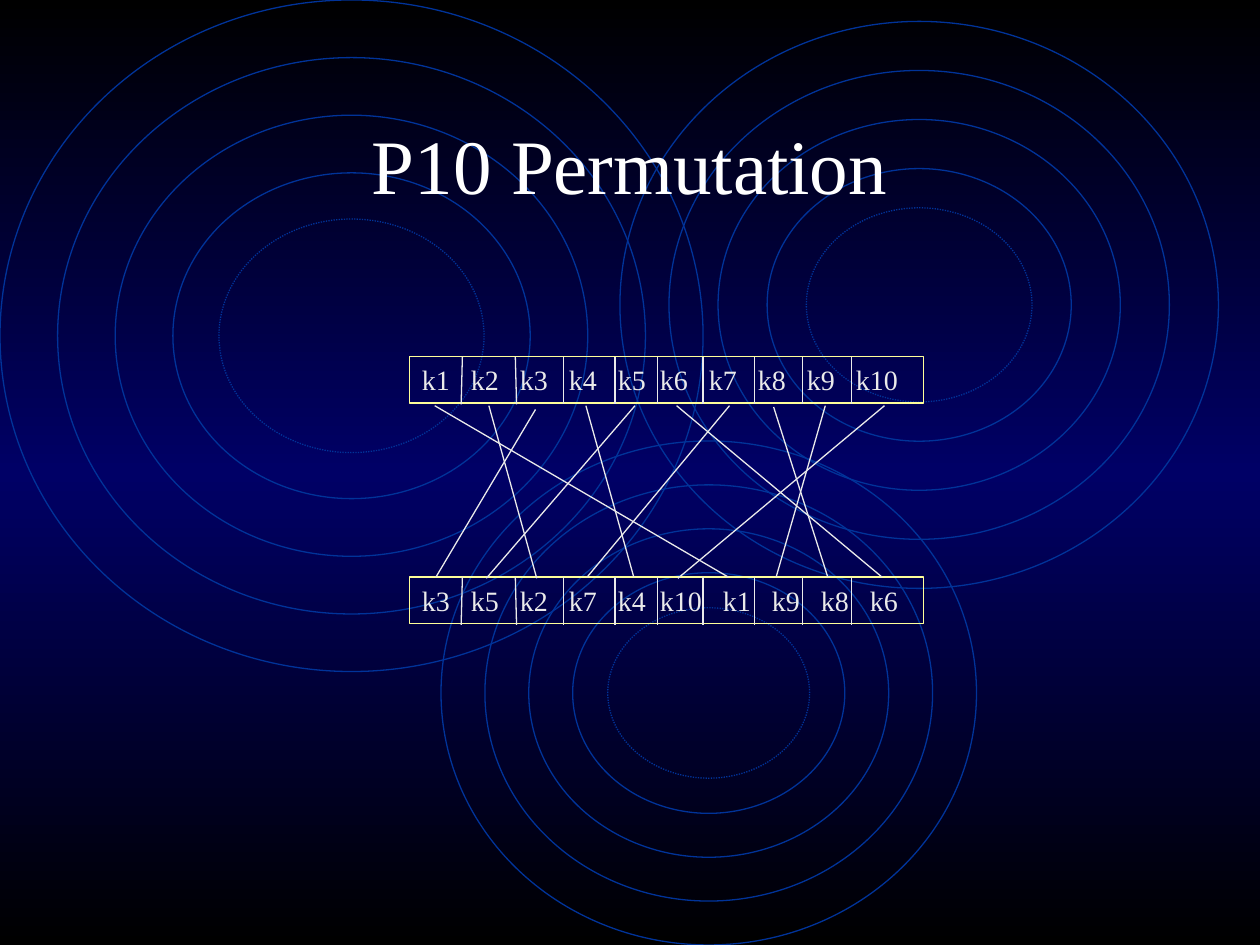
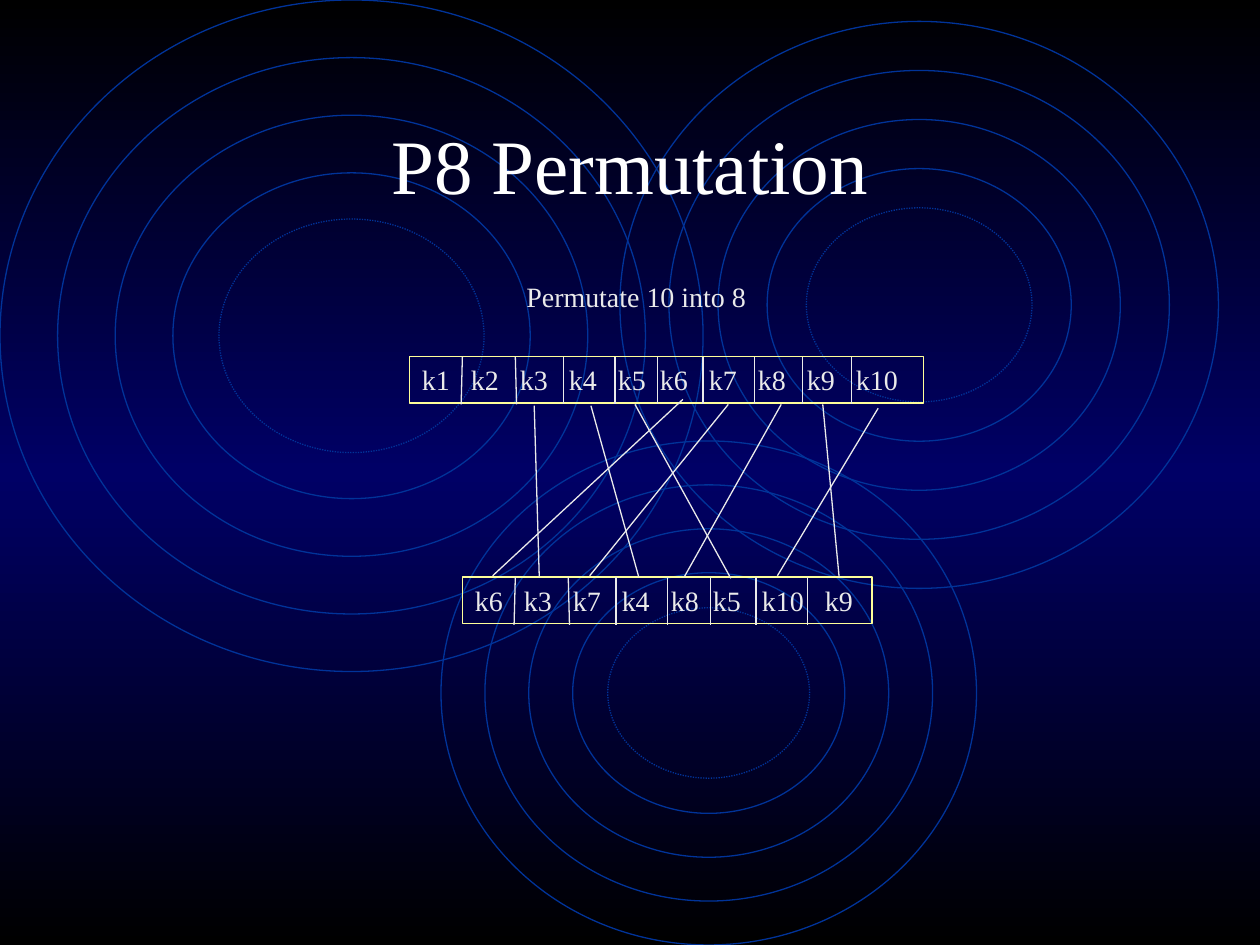
from copy import deepcopy
from typing import NamedTuple

from lxml.etree import SubElement
from pptx import Presentation
from pptx.dml.color import RGBColor
from pptx.enum.dml import MSO_LINE_DASH_STYLE as Dash
from pptx.enum.shapes import MSO_CONNECTOR as Connector, MSO_SHAPE as Shape
from pptx.enum.text import MSO_ANCHOR as Anchor, PP_ALIGN as Align
from pptx.oxml.ns import qn
from pptx.util import Inches, Pt

# Shared style
FONT = "Times New Roman"
BLACK, NAVY, RING_BLUE = "000000", "000066", "003399"
WHITE, PALE_GREY, YELLOW = "FFFFFF", "EAEAEA", "FFFF99"
TITLE_SIZE, BODY_SIZE = 44, 16
LINE_WIDTH = Pt(0.75)

# Key register layout, in inches
CHAR_WIDTH = BODY_SIZE / 2 / 72
SPACE_WIDTH = CHAR_WIDTH / 2
REGISTER_HEIGHT = 0.37
INPUT_TOP, OUTPUT_TOP = 2.83, 4.58


class Box(NamedTuple):
    left: float
    top: float
    width: float
    height: float


class Line(NamedTuple):
    x1: float
    y1: float
    x2: float
    y2: float


class Divider(NamedTuple):
    offset: float
    lean: float = 0


class Register(NamedTuple):
    keys: str
    left: float
    top: float
    width: float


class Permutation(NamedTuple):
    title: str
    output: Register
    wires: list[Line]
    caption: str = ""


TITLE_BOX = Box(0.75, 0.67, 8.5, 1.25)
CAPTION_BOX = Box(4.08, 2.17, 2.17, 0.37)

# Ripples: outer ring of each set, and how many steps each ring lies inside it
RIPPLES = [Box(0, 0, 5.58, 5.33), Box(3.5, 3.5, 4.25, 4), Box(4.92, 0.17, 4.75, 4.5)]
RING_STEPS = (0, 1, 2, 3, 3.8)

DIVIDERS = [Divider(0.42, -0.01), Divider(0.84, 0.01)] + [
    Divider(offset) for offset in (1.22, 1.63, 1.97, 2.33, 2.74, 3.12, 3.51)
]

INPUT = Register("k1 k2 k3 k4 k5 k6 k7 k8 k9 k10", 3.25, INPUT_TOP, 4.08)

# Wires follow the order of the output keys
PERMUTATIONS = [
    Permutation(
        "P10 Permutation",
        Register("k3 k5 k2 k7 k4 k10 k1 k9 k8 k6", 3.25, OUTPUT_TOP, 4.08),
        [
            Line(4.25, 3.25, 3.46, 4.58),
            Line(5.04, 3.22, 3.86, 4.59),
            Line(3.88, 3.22, 4.26, 4.59),
            Line(5.79, 3.22, 4.66, 4.58),
            Line(4.65, 3.22, 5.03, 4.58),
            Line(7.02, 3.22, 5.38, 4.59),
            Line(3.45, 3.22, 5.78, 4.58),
            Line(6.55, 3.22, 6.16, 4.58),
            Line(6.14, 3.23, 6.57, 4.58),
            Line(5.37, 3.22, 7, 4.58),
        ],
    ),
    Permutation(
        "P8 Permutation",
        Register("k6 k3 k7 k4 k8 k5 k10 k9", 3.67, OUTPUT_TOP, 3.25),
        [
            Line(5.42, 3.17, 3.91, 4.57),
            Line(4.24, 3.22, 4.28, 4.58),
            Line(5.78, 3.21, 4.68, 4.57),
            Line(4.69, 3.22, 5.07, 4.58),
            Line(6.2, 3.21, 5.43, 4.58),
            Line(5.04, 3.21, 5.8, 4.59),
            Line(6.97, 3.24, 6.17, 4.57),
            Line(6.53, 3.21, 6.66, 4.58),
        ],
        "Permutate 10 into 8",
    ),
]


def rgb(color: str) -> RGBColor:
    return RGBColor.from_string(color)


def set_background(master) -> None:
    fill = master.background.fill
    fill.gradient()
    stop_list = next(master.element.iter(qn("a:gsLst")))
    stop_list.append(deepcopy(stop_list[0]))
    for stop, position, color in zip(fill.gradient_stops, (0, 0.5, 1), (BLACK, NAVY, BLACK)):
        stop.position = position
        stop.color.rgb = rgb(color)
    fill.gradient_angle = 270


def add_outline(slide, kind: Shape, box: Box, color: str):
    outline = slide.shapes.add_shape(kind, *map(Inches, box))
    outline.shadow.inherit = False
    outline.fill.background()
    outline.line.color.rgb = rgb(color)
    outline.line.width = LINE_WIDTH
    return outline


def add_line(slide, line: Line) -> None:
    connector = slide.shapes.add_connector(Connector.STRAIGHT, *map(Inches, line))
    connector.line.color.rgb = rgb(PALE_GREY)
    connector.line.width = LINE_WIDTH
    SubElement(connector.element.spPr, qn("a:effectLst"))


def format_text(frame, size: int, color: str, align: Align, anchor: Anchor) -> None:
    frame.word_wrap = True
    frame.vertical_anchor = anchor
    for paragraph in frame.paragraphs:
        paragraph.alignment = align
        for run in paragraph.runs:
            run.font.name = FONT
            run.font.size = Pt(size)
            run.font.color.rgb = rgb(color)


def add_text(slide, text: str, box: Box, size: int, color: str,
             align: Align = Align.LEFT, anchor: Anchor = Anchor.TOP) -> None:
    frame = slide.shapes.add_textbox(*map(Inches, box)).text_frame
    frame.text = text
    format_text(frame, size, color, align, anchor)


def add_ripple(slide, outer: Box) -> None:
    for step in RING_STEPS:
        inset = step * outer.width / 12.2
        ring = add_outline(slide, Shape.OVAL, Box(
            outer.left + inset, outer.top + inset,
            outer.width - 2 * inset, outer.height - 2 * inset), RING_BLUE)
    # The innermost ring is dotted
    ring.line.dash_style = Dash.ROUND_DOT


def add_key_stops(paragraph, keys: list[str]) -> None:
    """Set a tab stop for each key after the first; the fifth gap is narrower."""
    stops = SubElement(paragraph._p.get_or_add_pPr(), qn("a:tabLst"))
    position = 0.0
    for number, key in enumerate(keys[:-1], start=1):
        position += len(key) * CHAR_WIDTH + (2 if number == 5 else 3) * SPACE_WIDTH
        SubElement(stops, qn("a:tab"), pos=str(Inches(position)), algn="l")


def add_register(slide, register: Register) -> None:
    keys = register.keys.split()
    box = Box(register.left, register.top, register.width, REGISTER_HEIGHT)
    frame = add_outline(slide, Shape.RECTANGLE, box, YELLOW).text_frame
    frame.text = "\t".join(keys)
    add_key_stops(frame.paragraphs[0], keys)
    format_text(frame, BODY_SIZE, PALE_GREY, Align.LEFT, Anchor.TOP)
    for divider in DIVIDERS[:len(keys) - 1]:
        x = register.left + divider.offset
        add_line(slide, Line(x, register.top, x + divider.lean, register.top + 0.38))


def add_permutation(prs, permutation: Permutation) -> None:
    slide = prs.slides.add_slide(prs.slide_layouts[6])
    for outer in RIPPLES:
        add_ripple(slide, outer)
    add_text(slide, permutation.title, TITLE_BOX, TITLE_SIZE, WHITE, Align.CENTER, Anchor.MIDDLE)
    add_register(slide, INPUT)
    add_register(slide, permutation.output)
    for wire in permutation.wires:
        add_line(slide, wire)
    if permutation.caption:
        add_text(slide, permutation.caption, CAPTION_BOX, BODY_SIZE, PALE_GREY)


def main() -> None:
    prs = Presentation()
    prs.slide_width, prs.slide_height = Inches(10), Inches(7.5)
    set_background(prs.slide_master)
    for permutation in PERMUTATIONS:
        add_permutation(prs, permutation)
    prs.save("out.pptx")


if __name__ == "__main__":
    main()
